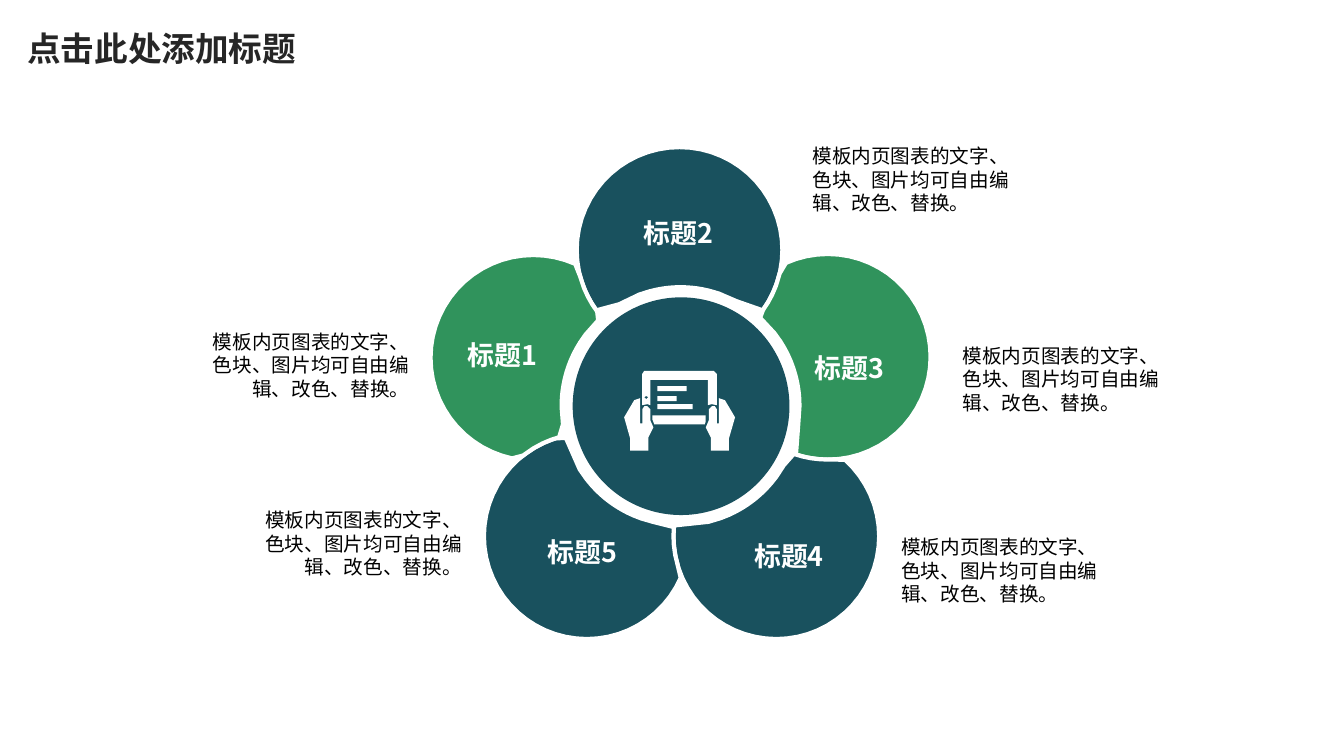
from dataclasses import dataclass
from math import cos, radians, sin, sqrt

from lxml import etree
from pptx import Presentation
from pptx.dml.color import RGBColor
from pptx.enum.shapes import MSO_SHAPE
from pptx.enum.text import MSO_ANCHOR, MSO_AUTO_SIZE, PP_ALIGN
from pptx.oxml.ns import qn
from pptx.util import Pt

PX = 9144  # 100 px to the inch
OVAL, RECTANGLE = MSO_SHAPE.OVAL, MSO_SHAPE.RECTANGLE
LEFT, CENTER, RIGHT = PP_ALIGN.LEFT, PP_ALIGN.CENTER, PP_ALIGN.RIGHT
TOP, MIDDLE = MSO_ANCHOR.TOP, MSO_ANCHOR.MIDDLE
GROW = MSO_AUTO_SIZE.SHAPE_TO_FIT_TEXT
TITLE_ONLY = 5


@dataclass(frozen=True)
class Theme:
    font: str = "Noto Sans CJK SC"
    teal: RGBColor = RGBColor(0x19, 0x51, 0x5E)
    green: RGBColor = RGBColor(0x30, 0x93, 0x5C)
    white: RGBColor = RGBColor(0xFF, 0xFF, 0xFF)
    black: RGBColor = RGBColor(0, 0, 0)
    title_color: RGBColor = RGBColor(0x26, 0x26, 0x26)
    heading_size: int = 24
    body_size: int = 14
    line_pitch: float = 1.2
    outline: int = 3


THEME = Theme()
HEADING = {"size": Pt(THEME.heading_size), "bold": True}
TITLE = {**HEADING, "color": THEME.title_color}
LABEL = {**HEADING, "color": THEME.white}
BODY = {"size": Pt(THEME.body_size), "bold": False, "color": THEME.black}

TITLE_BOX = (17, 23, 297, 50)
BODY_TEXT = "模板内页图表的文字、色块、图片均可自由编辑、改色、替换。"
HUB_BOX = (568, 295, 215, 216)
HUB_GAP = (675, 403, 118)
PETAL_RADIUS = 102
DEGREE_STEP = 6

# number: centre, colour, petals lying above it, label corner, body corner, alignment
PETALS = {
    2: ((674, 248), THEME.teal, (), (603, 203), (796, 138), LEFT),
    3: ((821, 354), THEME.green, (2,), (773, 337), (945, 336), LEFT),
    4: ((770, 532), THEME.teal, (3,), (713, 524), (884, 526), LEFT),
    5: ((582, 532), THEME.teal, (4,), (508, 520), (235, 499), RIGHT),
    1: ((529, 355), THEME.green, (2, 5), (429, 324), (183, 322), RIGHT),
}

TABLET_FRAME = [
    (706, 401), (711, 402), (711, 371), (708, 368), (639, 368), (637, 371),
    (637, 402), (642, 401), (645, 402), (645, 377), (702, 377), (702, 402),
]
CAMERA = [(641, 396), (639, 394), (641, 393), (643, 394)]
TABLET_EDGE = [(647, 412), (700, 412), (700, 418), (699, 421), (649, 421), (647, 416)]
LEFT_HAND = [
    (647, 426), (648, 424), (645, 417), (645, 406), (642, 403), (639, 403),
    (637, 406), (637, 420), (635, 420), (635, 395), (629, 397), (619, 414),
    (625, 435), (625, 447), (643, 447), (643, 434),
]
ICON_AXIS = 674
TEXT_BARS = [(652, 383, 29, 5), (652, 393, 19, 5), (652, 401, 35, 5)]


def emu(lengths):
    return [round(length * PX) for length in lengths]


def paint(shape, fill, outline=None):
    shape.shadow.inherit = False
    shape.fill.solid()
    shape.fill.fore_color.rgb = fill
    if outline is None:
        shape.line.fill.background()
    else:
        shape.line.color.rgb = outline
        shape.line.width = Pt(THEME.outline)


def add_preset(shapes, kind, box, fill):
    paint(shapes.add_shape(kind, *emu(box)), fill)


def add_outline(shapes, contours, fill, outline=None):
    """Draw closed contours as one shape; an inner contour is a hole."""
    first, *holes = [[emu(point) for point in contour] for contour in contours]
    builder = shapes.build_freeform(*first[0], scale=1.0)
    builder.add_line_segments(first[1:], close=True)
    for hole in holes:
        builder.move_to(*hole[0])
        builder.add_line_segments(hole[1:], close=True)
    paint(builder.convert_to_shape(), fill, outline)


def write(shape, text, style, alignment, anchor=TOP):
    frame = shape.text_frame
    frame_format = {"word_wrap": True, "auto_size": GROW, "vertical_anchor": anchor}
    for name, value in frame_format.items():
        setattr(frame, name, value)
    paragraph = frame.paragraphs[0]
    paragraph.alignment = alignment
    paragraph.line_spacing = Pt(style["size"].pt * THEME.line_pitch)
    run = paragraph.add_run()
    run.text = text
    for name in ("size", "bold"):
        setattr(run.font, name, style[name])
    run.font.color.rgb = style["color"]
    run.font.name = THEME.font
    properties = run._r.get_or_add_rPr()
    etree.SubElement(properties, qn("a:ea")).set("typeface", THEME.font)
    return properties


def add_title(slide, text):
    title = slide.shapes.title
    for name, value in zip(("left", "top", "width", "height"), emu(TITLE_BOX)):
        setattr(title, name, value)
    write(title, text, TITLE, LEFT)


def add_label(shapes, corner, text):
    box = shapes.add_textbox(*emu((*corner, 139, 50)))
    write(box, text, LABEL, CENTER, MIDDLE).set("cap", "small")


def add_body(shapes, corner, alignment):
    box = shapes.add_textbox(*emu((*corner, 233, 81)))
    write(box, BODY_TEXT, BODY, alignment)


def petal_contour(center, cutters):
    """Trace a circle by degrees, stopping each ray at the nearest cutter."""
    center_x, center_y = center
    points = []
    for degree in range(0, 360, DEGREE_STEP):
        ray_x, ray_y = cos(radians(degree)), sin(radians(degree))
        reach = PETAL_RADIUS
        for cutter_x, cutter_y, radius in cutters:
            offset_x, offset_y = cutter_x - center_x, cutter_y - center_y
            along = offset_x * ray_x + offset_y * ray_y
            across = offset_x * ray_y - offset_y * ray_x
            if along > 0 and abs(across) < radius:
                reach = min(reach, along - sqrt(radius**2 - across**2))
        points.append((center_x + reach * ray_x, center_y + reach * ray_y))
    return points


def add_petals(shapes):
    for center, color, above, *_ in PETALS.values():
        cutters = [HUB_GAP] + [(*PETALS[number][0], PETAL_RADIUS) for number in above]
        add_outline(shapes, [petal_contour(center, cutters)], color, THEME.white)


def add_tablet_icon(slide):
    shapes = slide.shapes.add_group_shape().shapes
    right_hand = [(2 * ICON_AXIS - x, y) for x, y in LEFT_HAND]
    for contours in ([TABLET_FRAME, CAMERA], [TABLET_EDGE], [LEFT_HAND], [right_hand]):
        add_outline(shapes, contours, THEME.white)
    for bar in TEXT_BARS:
        add_preset(shapes, RECTANGLE, bar, THEME.white)


def main():
    presentation = Presentation()
    presentation.slide_width, presentation.slide_height = emu((1333, 750))
    slide = presentation.slides.add_slide(presentation.slide_layouts[TITLE_ONLY])
    add_title(slide, "点击此处添加标题")
    add_preset(slide.shapes, OVAL, HUB_BOX, THEME.teal)
    add_petals(slide.shapes)
    for number, (_, _, _, label_corner, body_corner, alignment) in PETALS.items():
        add_label(slide.shapes, label_corner, f"标题{number}")
        add_body(slide.shapes, body_corner, alignment)
    add_tablet_icon(slide)
    presentation.save("out.pptx")


if __name__ == "__main__":
    main()
